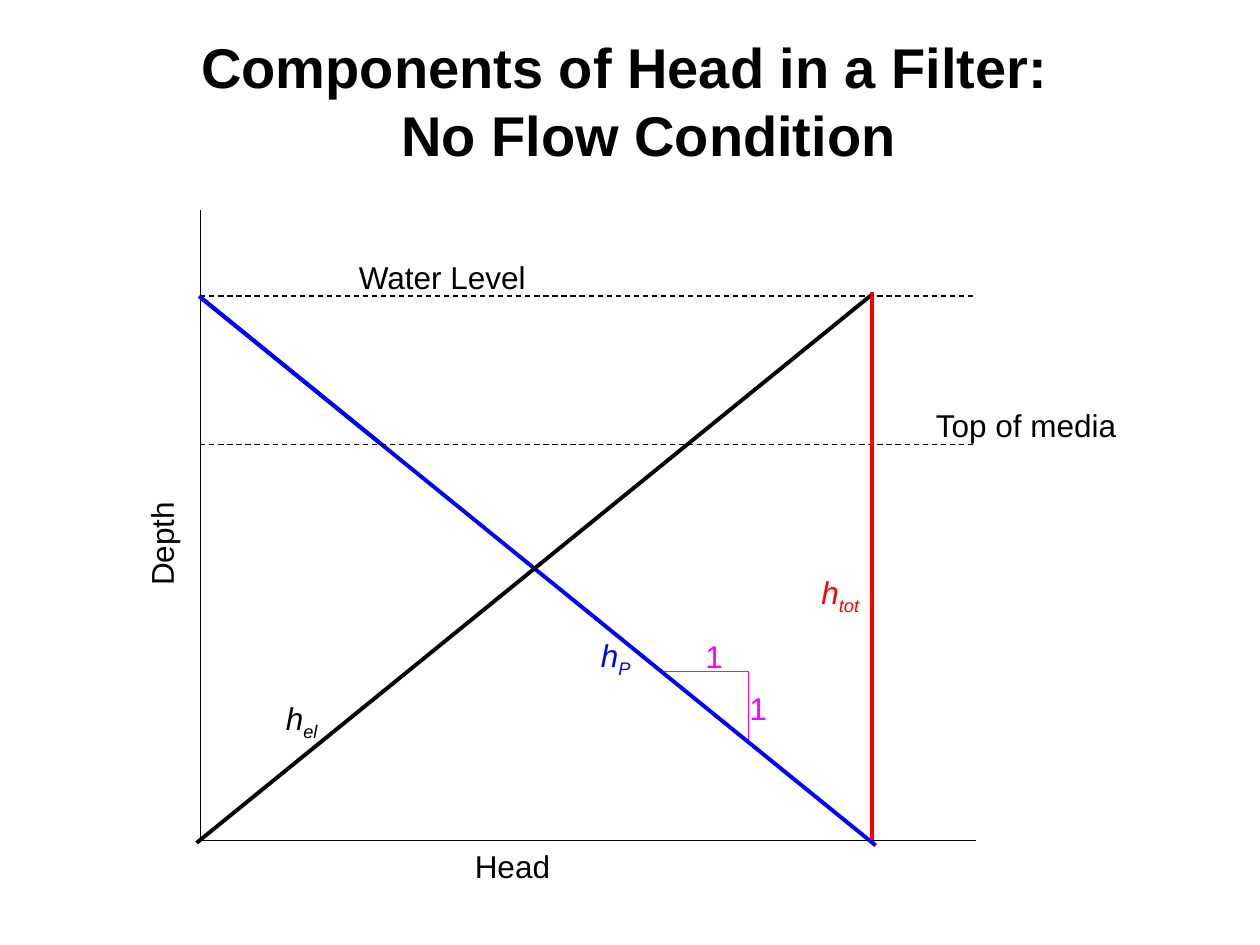
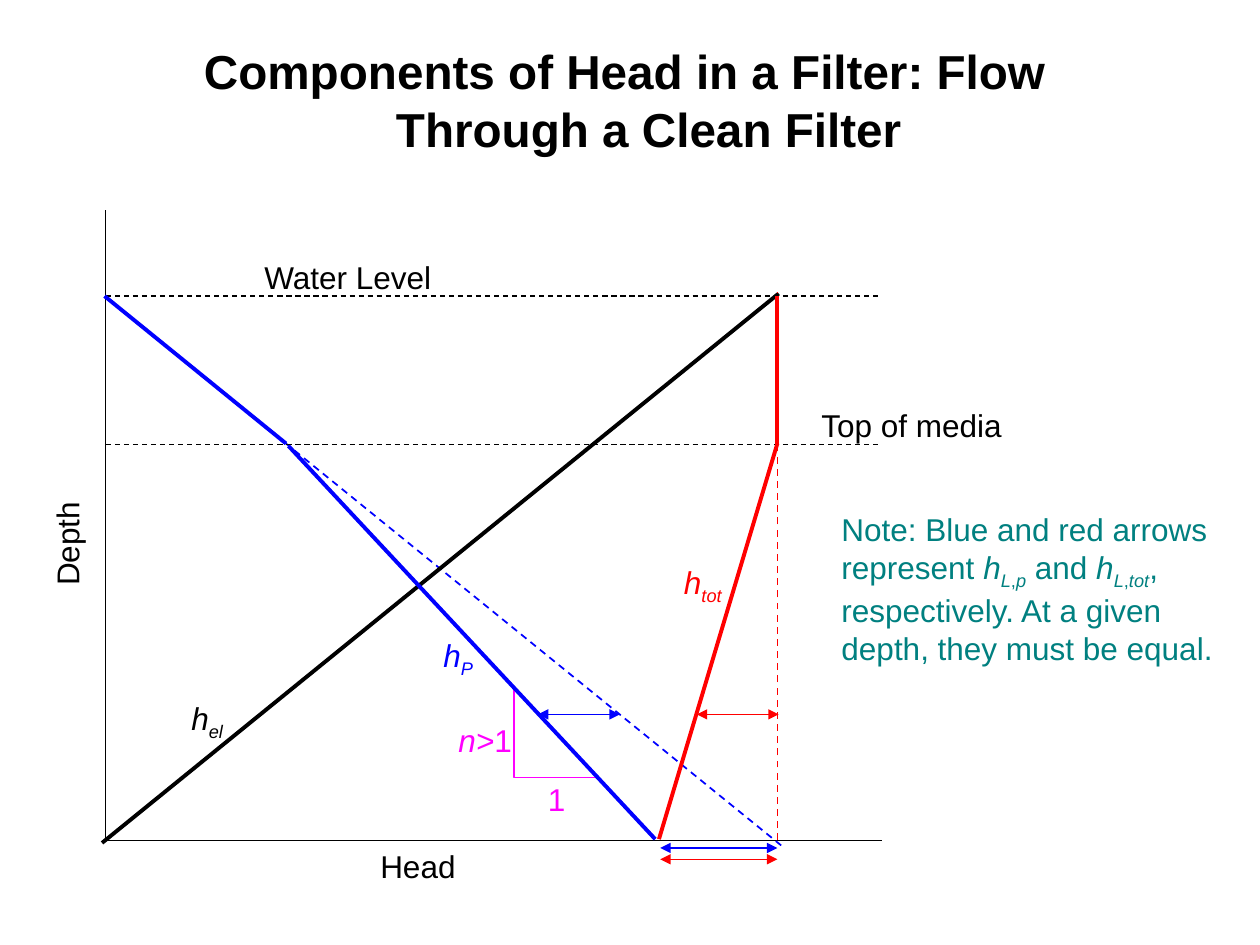
from dataclasses import dataclass

from lxml import etree
from pptx import Presentation
from pptx import util as u
from pptx.dml.color import RGBColor
from pptx.enum import dml, shapes, text
from pptx.oxml import ns

PX = 9144  # EMU per px, 100 px to the inch


@dataclass(frozen=True)
class Theme:
    font: str = "Arial"
    black: str = "000000"
    blue: str = "0000FF"
    red: str = "FF0000"
    pink: str = "FF00FF"
    teal: str = "008080"
    label_size: float = 18
    thick: float = 2.25
    medium: float = 1
    thin: float = 0.75


theme = Theme()


def add_label(slide, frame, runs, color=theme.black):
    """Add a text box; each run is (text, style), with i = italic and s = subscript."""
    box = slide.shapes.add_textbox(*(value * PX for value in frame))
    box.text_frame.word_wrap = True
    paragraph = box.text_frame.paragraphs[0]
    paragraph.font.name = theme.font
    paragraph.font.size = u.Pt(theme.label_size)
    paragraph.font.color.rgb = RGBColor.from_string(color)
    for words, style in runs:
        run = paragraph.add_run()
        run.text = words
        if "i" in style:
            run.font.italic = True
        if "s" in style:
            run._r.get_or_add_rPr().set("baseline", "-25000")
    return box


def add_line(slide, ends, color, width, dashed=False, arrows=False):
    """Add a straight line, optionally dashed or with an arrowhead at both ends."""
    connector = slide.shapes.add_connector(
        shapes.MSO_CONNECTOR.STRAIGHT, *(value * PX for value in ends))
    connector.line.color.rgb = RGBColor.from_string(color)
    connector.line.width = u.Pt(width)
    if dashed:
        connector.line.dash_style = dml.MSO_LINE.DASH
    if arrows:
        for end in ("a:headEnd", "a:tailEnd"):
            etree.SubElement(connector.line._get_or_add_ln(), ns.qn(end), type="triangle")
    etree.SubElement(connector._element.spPr, ns.qn("a:effectLst"))


# What differs between the two diagrams
diagrams = [
    dict(
        title="Components of Head in a Filter: No Flow Condition",
        title_size=32, title_top=17, title_height=125,
        left=159, flowing=False,
        slope=[(527, 533), (594, 533), (594, 587)],
        labels=[
            ((467, 500, 50, 44), [("h", "i"), ("P", "is")], theme.blue),
            ((642, 450, 58, 44), [("h", "i"), ("tot", "is")], theme.red),
            ((733, 317, 208, 40), [("Top of media", "")], theme.black),
            ((550, 501, 67, 40), [("1", "")], theme.pink),
            ((585, 542, 67, 40), [("1", "")], theme.pink),
        ],
    ),
    dict(
        title="Components of Head in a Filter: Flow Through a Clean Filter",
        title_size=27.2, title_top=25, title_height=108,
        left=84, flowing=True,
        slope=[(408, 545), (408, 617), (475, 617)],
        labels=[
            ((342, 500, 50, 44), [("h", "i"), ("P", "is")], theme.blue),
            ((533, 442, 58, 44), [("h", "i"), ("tot", "is")], theme.red),
            ((642, 317, 208, 40), [("Top of media", "")], theme.black),
            ((425, 614, 67, 40), [("1", "")], theme.pink),
            ((354, 567, 67, 40), [("n>", "i"), ("1", "")], theme.pink),
            ((658, 400, 325, 134), [
                ("Note: Blue and red arrows represent ", ""),
                ("h", "i"), ("L", "is"), (",", "s"), ("p", "is"), (" and ", ""),
                ("h", "i"), ("L", "is"), (",", "s"), ("tot", "is"),
                (", respectively. At a given depth, they must be equal.", "")], theme.teal),
        ],
    ),
]

presentation = Presentation()
presentation.slide_width = 1000 * PX
presentation.slide_height = 750 * PX

for diagram in diagrams:
    slide = presentation.slides.add_slide(presentation.slide_layouts[5])
    left = diagram["left"]
    flowing = diagram["flowing"]

    # Title
    title = slide.shapes.title
    title.left, title.width = 142 * PX, 708 * PX
    title.top, title.height = diagram["title_top"] * PX, diagram["title_height"] * PX
    title.text_frame.text = diagram["title"]
    title.text_frame.auto_size = text.MSO_AUTO_SIZE.NONE
    title.text_frame.vertical_anchor = text.MSO_ANCHOR.MIDDLE
    paragraph = title.text_frame.paragraphs[0]
    paragraph.alignment = text.PP_ALIGN.CENTER
    properties = paragraph._p.get_or_add_pPr()
    properties.set("marL", str(38 * PX))
    properties.set("indent", str(-38 * PX))
    paragraph.font.name = theme.font
    paragraph.font.size = u.Pt(diagram["title_size"])
    paragraph.font.bold = True
    paragraph.font.color.rgb = RGBColor.from_string(theme.black)

    # Labels that move with the axes
    add_label(slide, (left + 58, 550, 50, 44), [("h", "i"), ("el", "is")])
    add_label(slide, (left + 116, 200, 158, 40), [("Water Level", "")])
    add_label(slide, (left + 208, 667, 83, 40), [("Head", "")])
    depth = add_label(slide, (left - 51, 375, 50, 100), [("Depth", "")])
    depth.rotation = 180
    frame = depth.text_frame
    frame.margin_left = frame.margin_right = 5 * PX
    frame.margin_top = frame.margin_bottom = 10 * PX
    frame._txBody.bodyPr.set("vert", "eaVert")

    # Axes and slope triangle
    axes = [(left, 167), (left, 667), (left + 616, 667)]
    for points, color in ((axes, theme.black), (diagram["slope"], theme.pink)):
        start, *others = [(x * PX, y * PX) for x, y in points]
        builder = slide.shapes.build_freeform(*start)
        builder.add_line_segments(others, close=False)
        outline = builder.convert_to_shape()
        outline.fill.background()
        outline.line.color.rgb = RGBColor.from_string(color)
        outline.line.width = u.Pt(theme.thin)
        outline.shadow.inherit = False

    # Static heads, dashed where the flow departs from them
    static_width = theme.medium if flowing else theme.thick
    add_line(slide, (left, 236, left + 536, 671), theme.blue, static_width, flowing)
    add_line(slide, (left + 534, 233, left - 3, 669), theme.black, theme.thick)
    add_line(slide, (left + 533, 667, left + 533, 232), theme.red, static_width, flowing)

    # Top of media and water level
    for level in (353, 235):
        add_line(slide, (left, level, left + 616, level), theme.black, theme.thin, dashed=True)

    # Heads above the media
    add_line(slide, (left - 1, 235, left + 143, 352), theme.blue, theme.thick)
    add_line(slide, (left + 533, 235, left + 533, 353), theme.red, theme.thick)

    # Heads within the media and the losses between them
    if flowing:
        add_line(slide, (229, 354, 520, 666), theme.blue, theme.thick)
        add_line(slide, (617, 352, 523, 666), theme.red, theme.thick)
        for start, end, y, color in (
                (427, 492, 567, theme.blue), (553, 618, 567, theme.red),
                (524, 617, 673, theme.blue), (524, 617, 682, theme.red)):
            add_line(slide, (start, y, end, y), color, theme.thin, arrows=True)

    # Labels placed for this diagram
    for label_frame, runs, color in diagram["labels"]:
        add_label(slide, label_frame, runs, color)

presentation.save("out.pptx")
